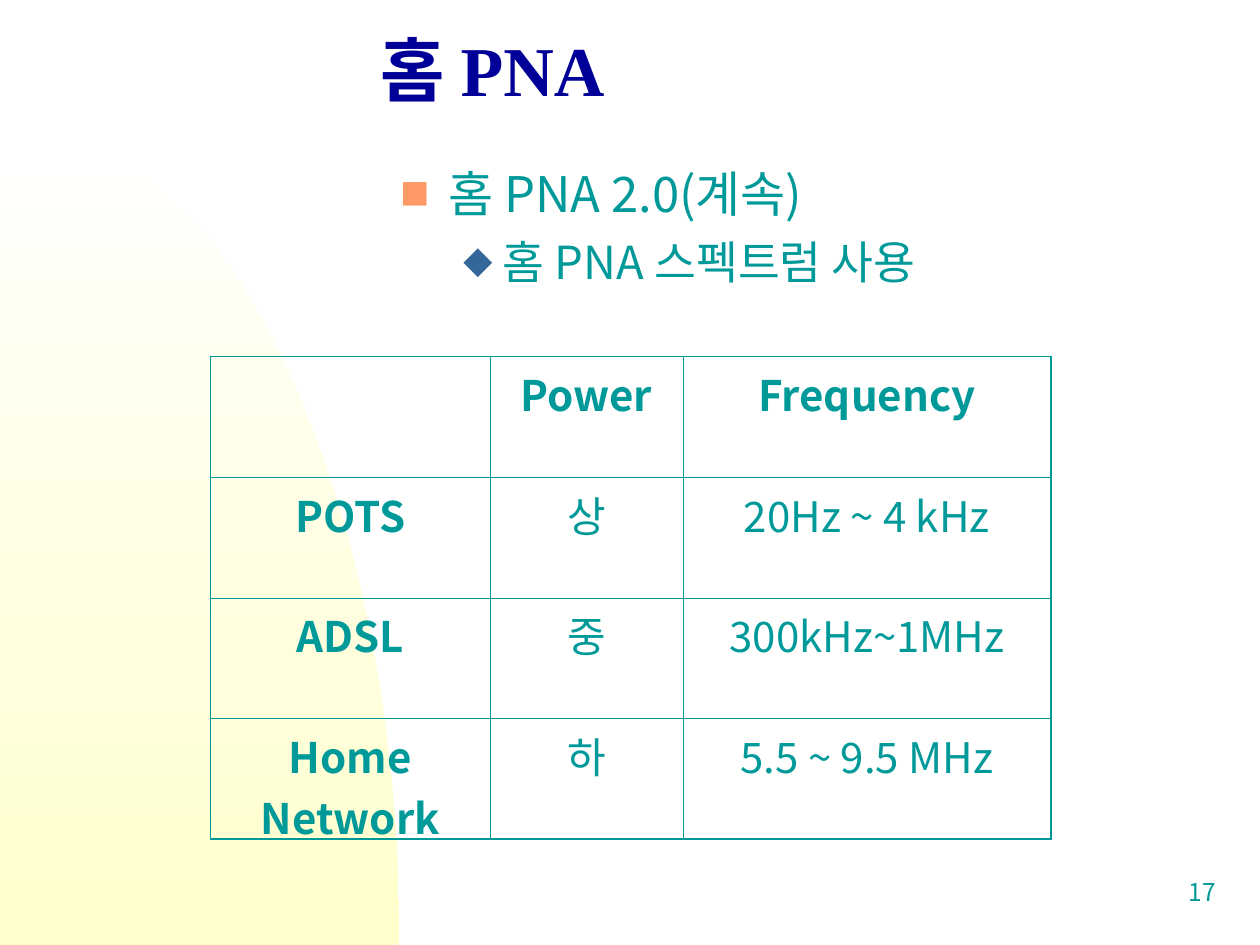
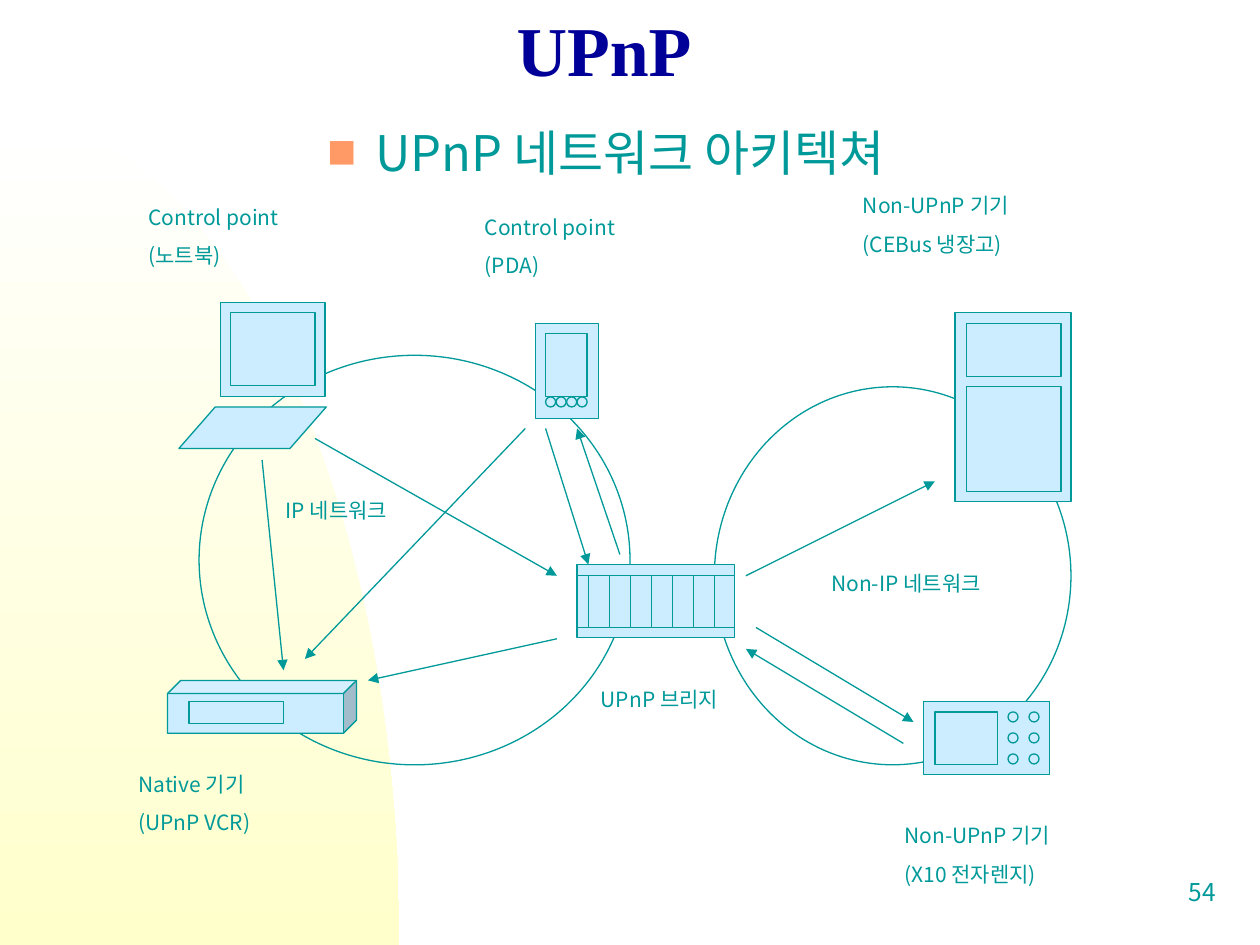
from dataclasses import dataclass

import pptx
import pptx.dml.color
import pptx.enum.shapes
import pptx.enum.text
import pptx.oxml.ns
import pptx.util
from lxml import etree

Inches, Pt = pptx.util.Inches, pptx.util.Pt
SHAPE = pptx.enum.shapes.MSO_SHAPE
ALIGN = pptx.enum.text.PP_ALIGN
ANCHOR = pptx.enum.text.MSO_ANCHOR
AUTO_SIZE = pptx.enum.text.MSO_AUTO_SIZE


@dataclass(frozen=True)
class Theme:
    teal: str = "009999"
    navy: str = "000099"
    orange: str = "FF9966"
    blue: str = "336699"
    sky: str = "CCECFF"
    white: str = "FFFFFF"
    cream: str = "FFFFCC"
    title_font: str = "Times New Roman"
    body_font: str = "Noto Sans CJK KR"
    title_size: float = 40
    level_sizes: tuple = (28, 26)
    table_size: float = 24
    number_size: float = 14
    label_size: float = 12
    line_width: float = 0.75
    inner_border: float = 0.45
    outer_border: float = 1.08


THEME = Theme()
# Per outline level: bullet, colour, size %, left margin, hanging indent, space before
BULLETS = (
    ("■", THEME.orange, 60, 0.38, 0.38, 0),
    ("◆", THEME.blue, 65, 0.81, 0.31, 6.5),
)


def rgb(color):
    return pptx.dml.color.RGBColor.from_string(color)


def add_xml(parent, tag, **attributes):
    return etree.SubElement(parent, pptx.oxml.ns.qn(tag), attributes)


def format_runs(p, size, color=THEME.teal, font=THEME.body_font, bold=False):
    for r in p.runs:
        r.font.size = Pt(size)
        r.font.bold = bold
        r.font.color.rgb = rgb(color)
        r.font.name = font
        add_xml(r.font._element, "a:ea", typeface=THEME.body_font)


def add_text(s, box, lines):
    tf = s.shapes.add_textbox(*map(Inches, box)).text_frame
    tf.word_wrap = True
    tf.text = "\n".join(lines)
    return tf


def add_background_curve(s, layout):
    """Draw the cream quarter curve and move it to the shared layout."""
    points = []
    for i in range(81):
        t = i / 80
        a, b, c, d = (1 - t) ** 3, 3 * t * (1 - t) ** 2, 3 * t * t * (1 - t), t ** 3
        x = 1.75 * b + 3.17 * (c + d)
        y = 0.92 * (a + b) + 3.87 * c + 7.5 * d
        points.append((Inches(x), Inches(y)))
    builder = s.shapes.build_freeform(*points[0])
    builder.add_line_segments(points[1:] + [(0, Inches(7.5))], close=True)
    sp = builder.convert_to_shape()
    sp.shadow.inherit = False
    sp.line.fill.background()
    sp.fill.gradient()
    sp.fill.gradient_angle = 270
    for stop, color, position in zip(sp.fill.gradient_stops, (THEME.white, THEME.cream), (0, 1)):
        stop.color.rgb = rgb(color)
        stop.position = position
    layout.shapes._spTree.insert(2, sp._element)


def set_title(s, text, box, anchor):
    title = s.shapes.title
    title.left, title.top, title.width, title.height = map(Inches, box)
    tf = title.text_frame
    tf.text = text
    tf.auto_size = AUTO_SIZE.NONE
    tf.word_wrap = False
    tf.vertical_anchor = anchor
    p = tf.paragraphs[0]
    p.alignment = ALIGN.LEFT
    format_runs(p, THEME.title_size, THEME.navy, THEME.title_font, bold=True)
    return p


def add_slide_number(s, number):
    tf = add_text(s, (7.67, 6.83, 2.08, 0.5), [number])
    tf.vertical_anchor = ANCHOR.MIDDLE
    tf.paragraphs[0].alignment = ALIGN.RIGHT
    format_runs(tf.paragraphs[0], THEME.number_size)


def add_outline(s, box, lines):
    """Write one line per outline level, each with that level's bullet."""
    tf = add_text(s, box, lines)
    for p, bullet, size in zip(tf.paragraphs, BULLETS, THEME.level_sizes):
        char, color, percent, margin, hanging, before = bullet
        p.space_before = Pt(before)
        pPr = p._p.get_or_add_pPr()
        pPr.set("marL", str(Inches(margin)))
        pPr.set("indent", str(-Inches(hanging)))
        add_xml(add_xml(pPr, "a:buClr"), "a:srgbClr", val=color)
        add_xml(pPr, "a:buSzPct", val=str(percent * 1000))
        add_xml(pPr, "a:buFont", typeface=THEME.body_font)
        add_xml(pPr, "a:buChar", char=char)
        format_runs(p, size)


def add_label(s, left, top, width, *lines):
    tf = add_text(s, (left, top, width, 0.3 if len(lines) == 1 else 0.61), lines)
    for i, p in enumerate(tf.paragraphs):
        p.space_before = Pt(7.5 if i else 0)
        format_runs(p, THEME.label_size)


def set_borders(cell, outer_sides):
    tcPr = cell._tc.get_or_add_tcPr()
    for side in "LRTB":
        width = THEME.outer_border if side in outer_sides else THEME.inner_border
        ln = add_xml(tcPr, f"a:ln{side}", w=str(Pt(width)))
        add_xml(add_xml(ln, "a:solidFill"), "a:srgbClr", val=THEME.teal)


def add_grid_table(s, box, widths, rows):
    """Add a see-through table with a heavier frame and bold headings."""
    table = s.shapes.add_table(len(rows), len(widths), *map(Inches, box)).table
    table.first_row = table.horz_banding = False
    for column, width in zip(table.columns, widths):
        column.width = Inches(width)
    for i, row in enumerate(rows):
        for j, text in enumerate(row):
            cell = table.cell(i, j)
            edges = {"L": j == 0, "R": j == len(row) - 1, "T": i == 0, "B": i == len(rows) - 1}
            set_borders(cell, [side for side, outer in edges.items() if outer])
            cell.fill.background()
            cell.text = text
            p = cell.text_frame.paragraphs[0]
            p.alignment = ALIGN.CENTER
            format_runs(p, THEME.table_size, bold=i == 0 or j == 0)


def add_part(s, kind, left, top, width, height, fill=THEME.sky):
    sp = s.shapes.add_shape(kind, *map(Inches, (left, top, width, height)))
    sp.shadow.inherit = False
    if fill:
        sp.fill.solid()
        sp.fill.fore_color.rgb = rgb(fill)
    else:
        sp.fill.background()
    sp.line.color.rgb = rgb(THEME.teal)
    sp.line.width = Pt(THEME.line_width)
    return sp


def add_line(s, x1, y1, x2, y2, arrow=False):
    line = s.shapes.add_connector(
        pptx.enum.shapes.MSO_CONNECTOR.STRAIGHT, *map(Inches, (x1, y1, x2, y2)))
    line.line.color.rgb = rgb(THEME.teal)
    line.line.width = Pt(THEME.line_width)
    if arrow:
        add_xml(line.line._get_or_add_ln(), "a:tailEnd", type="triangle")
    add_xml(line._element.spPr, "a:effectLst")


def add_buttons(s, left, top, columns, rows, step):
    for row in range(rows):
        for column in range(columns):
            add_part(s, SHAPE.OVAL, left + column * step, top + row * step, 0.08, 0.08)


def add_notebook(s):
    add_part(s, SHAPE.RECTANGLE, 1.75, 2.4, 0.83, 0.75)
    add_part(s, SHAPE.RECTANGLE, 1.83, 2.48, 0.67, 0.58)
    keyboard = add_part(s, SHAPE.PARALLELOGRAM, 1.42, 3.23, 1.17, 0.33)
    keyboard.adjustments[0] = 0.875


def add_pda(s):
    add_part(s, SHAPE.RECTANGLE, 4.25, 2.57, 0.5, 0.75)
    add_part(s, SHAPE.RECTANGLE, 4.33, 2.65, 0.33, 0.5)
    add_buttons(s, 4.33, 3.15, 4, 1, 1 / 12)


def add_bridge(s):
    add_part(s, SHAPE.RECTANGLE, 4.58, 4.48, 1.25, 0.58)
    for y in (4.57, 4.98):
        add_line(s, 4.58, y, 5.83, y)
    for i in range(7):
        x = 4.67 + i / 6
        add_line(s, x, 4.57, x, 4.98)


def add_refrigerator(s):
    add_part(s, SHAPE.RECTANGLE, 7.58, 2.48, 0.92, 1.5)
    add_part(s, SHAPE.RECTANGLE, 7.67, 2.57, 0.75, 0.42)
    add_part(s, SHAPE.RECTANGLE, 7.67, 3.07, 0.75, 0.83)


def add_microwave(s):
    add_part(s, SHAPE.RECTANGLE, 7.33, 5.57, 1, 0.58)
    add_part(s, SHAPE.RECTANGLE, 7.42, 5.65, 0.5, 0.42)
    add_buttons(s, 8, 5.65, 2, 3, 1 / 6)


def add_vcr(s):
    add_part(s, SHAPE.CUBE, 1.33, 5.4, 1.5, 0.42).adjustments[0] = 0.25
    add_part(s, SHAPE.RECTANGLE, 1.5, 5.57, 0.75, 0.17)


def build_home_pna(s):
    p = set_title(s, "홈 PNA", (2.92, 0, 6.67, 1.25), ANCHOR.MIDDLE)
    p.line_spacing = 0.7
    add_slide_number(s, "17")
    add_outline(s, (3.08, 1.25, 6.67, 1.25), ["홈 PNA 2.0(계속)", "홈 PNA 스펙트럼 사용"])
    add_grid_table(s, (1.67, 2.83, 6.67, 3.83), (2.22, 1.53, 2.92), (
        ("", "Power", "Frequency"),
        ("POTS", "상", "20Hz ~ 4 kHz"),
        ("ADSL", "중", "300kHz~1MHz"),
        ("Home Network", "하", "5.5 ~ 9.5 MHz"),
    ))


def build_upnp(s):
    set_title(s, "UPnP", (4, 0, 1.59, 0.77), ANCHOR.TOP)
    add_slide_number(s, "54")
    add_outline(s, (2.5, 0.92, 6.67, 0.67), ["UPnP 네트워크 아키텍쳐"])
    for network in ((1.58, 2.82, 3.42, 3.25), (5.67, 3.07, 2.83, 3)):
        add_part(s, SHAPE.OVAL, *network, fill=None)
    for add_device in (add_notebook, add_pda, add_bridge, add_refrigerator, add_microwave, add_vcr):
        add_device(s)
    for message in (
        (2.08, 3.65, 2.25, 5.32),
        (2.5, 3.48, 4.42, 4.57),
        (4.33, 3.4, 4.67, 4.48),
        (4.92, 4.4, 4.58, 3.4),
        (4.42, 5.07, 2.92, 5.4),
        (4.17, 3.4, 2.42, 5.23),
        (6, 4.98, 7.25, 5.73),
        (7.17, 5.9, 5.92, 5.15),
        (5.92, 4.57, 7.42, 3.82),
    ):
        add_line(s, *message, arrow=True)
    for label in (
        (2.17, 3.9, 1.42, "IP 네트워크"),
        (6.5, 4.48, 1.67, "Non-IP 네트워크"),
        (1.08, 1.57, 1.42, "Control point", "(노트북)"),
        (3.75, 1.65, 1.42, "Control point", "(PDA)"),
        (6.75, 1.48, 1.83, "Non-UPnP 기기", "(CEBus 냉장고)"),
        (7.08, 6.48, 1.83, "Non-UPnP 기기", "(X10 전자렌지)"),
        (1, 6.07, 1.42, "Native 기기", "(UPnP VCR)"),
        (4.67, 5.4, 1.42, "UPnP 브리지"),
    ):
        add_label(s, *label)


def main():
    prs = pptx.Presentation()
    prs.slide_width, prs.slide_height = Inches(10), Inches(7.5)
    layout = prs.slide_layouts.get_by_name("Title Only")
    slides = [prs.slides.add_slide(layout) for _ in range(2)]
    add_background_curve(slides[0], layout)
    build_home_pna(slides[0])
    build_upnp(slides[1])
    prs.save("out.pptx")


if __name__ == "__main__":
    main()
